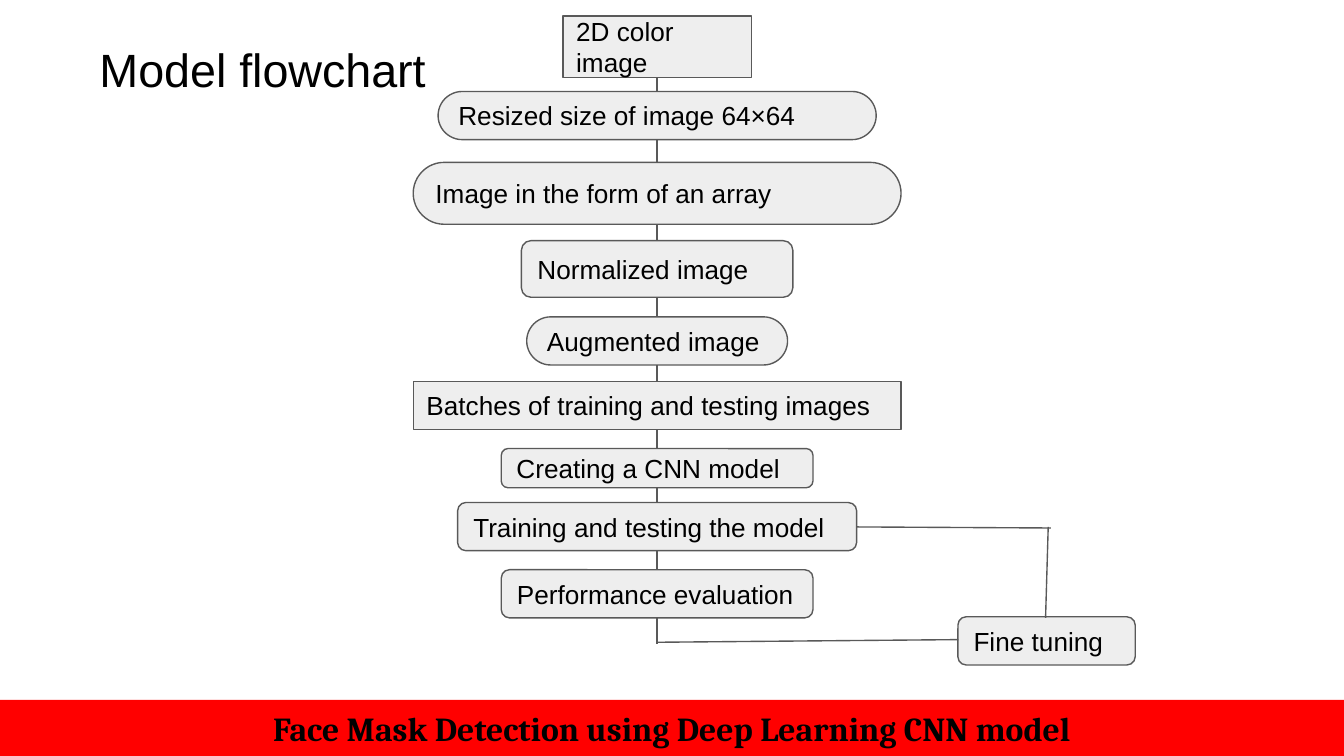
from dataclasses import dataclass
from itertools import pairwise

from lxml import etree
from pptx import Presentation
from pptx.dml.color import RGBColor
from pptx.enum import shapes, text
from pptx.oxml import ns
from pptx.util import Cm, Pt

BLACK = RGBColor(0x00, 0x00, 0x00)
GRAY = RGBColor(0x59, 0x59, 0x59)
PALE = RGBColor(0xEE, 0xEE, 0xEE)
RED = RGBColor(0xFF, 0x00, 0x00)
MID = 12.42
PAD = 0.25
TOP, LEFT, BOTTOM = 0, 1, 2


@dataclass
class Step:
    label: str
    top: float
    width: float
    height: float
    curve: float = 0.17
    mid: float = MID


@dataclass
class Line:
    x1: float
    y1: float
    x2: float
    y2: float


STEPS = [
    Step("2D color image", 0.3, 3.56, 1.17, 0),
    Step("Resized size of image 64×64", 1.73, 8.28, 0.91, 0.5),
    Step("Image in the form of an array", 3.07, 9.22, 1.17, 0.5),
    Step("Normalized image", 4.55, 5.13, 1.07),
    Step("Augmented image", 5.99, 4.93, 0.91, 0.5),
    Step("Batches of training and testing images", 7.21, 9.22, 0.91, 0),
    Step("Creating a CNN model", 8.48, 5.89, 0.74),
    Step("Training and testing the model", 9.5, 7.54, 0.91),
    Step("Performance evaluation", 10.77, 5.89, 0.91),
]
TUNING = Step("Fine tuning", 11.66, 3.35, 0.91, mid=19.78)
LOOP = [
    Line(MID, 11.68, MID, 12.17),
    Line(MID, 12.14, 18.11, 12.09),
    Line(19.76, 11.68, 19.81, 9.96),
    Line(19.86, 9.98, 16.19, 9.96),
]


def apply(item, values: dict) -> None:
    for name, value in values.items():
        setattr(item, name, value)


def write(shape, label: str, font: dict, align, anchor, pad: float = PAD) -> None:
    frame = shape.text_frame
    frame.text = label
    apply(frame, {
        "word_wrap": True,
        "auto_size": text.MSO_AUTO_SIZE.NONE,
        "vertical_anchor": anchor,
        "margin_left": Cm(PAD),
        "margin_right": Cm(PAD),
        "margin_top": Cm(pad),
        "margin_bottom": Cm(pad),
    })
    para = frame.paragraphs[0]
    para.alignment = align
    apply(para.runs[0].font, font)
    para.runs[0].font.color.rgb = BLACK


def stroke(line) -> None:
    line.color.rgb = GRAY
    line.width = Pt(0.75)


def draw_step(slide, step: Step):
    box = slide.shapes.add_shape(
        shapes.MSO_SHAPE.ROUNDED_RECTANGLE, Cm(step.mid - step.width / 2),
        Cm(step.top), Cm(step.width), Cm(step.height))
    box.adjustments[0] = step.curve
    box.shadow.inherit = False
    box.fill.solid()
    box.fill.fore_color.rgb = PALE
    stroke(box.line)
    write(box, step.label, {"name": "Arial", "size": Pt(14)},
          text.PP_ALIGN.LEFT, text.MSO_ANCHOR.MIDDLE)
    return box


def draw_line(slide, line: Line):
    link = slide.shapes.add_connector(
        shapes.MSO_CONNECTOR.STRAIGHT,
        Cm(line.x1), Cm(line.y1), Cm(line.x2), Cm(line.y2))
    stroke(link.line)
    etree.SubElement(link._element.spPr, ns.qn("a:effectLst"))
    return link


def draw_title(slide) -> None:
    title = slide.shapes.title
    apply(title, {"left": Cm(1.63), "top": Cm(0.53),
                  "width": Cm(9.93), "height": Cm(1.57)})
    write(title, "Model flowchart", {"name": "Arial", "size": Pt(25)},
          text.PP_ALIGN.LEFT, text.MSO_ANCHOR.TOP)


def draw_bar(slide) -> None:
    bar = slide.shapes.add_shape(
        shapes.MSO_SHAPE.RECTANGLE, 0, Cm(13.23), Cm(25.4), Cm(1.06))
    bar.shadow.inherit = False
    bar.fill.solid()
    bar.fill.fore_color.rgb = RED
    bar.line.fill.background()
    write(bar, "Face Mask Detection using Deep Learning CNN model",
          {"name": "Cambria", "size": Pt(18), "bold": True},
          text.PP_ALIGN.CENTER, text.MSO_ANCHOR.MIDDLE, 0.13)


def main() -> None:
    deck = Presentation()
    apply(deck, {"slide_width": Cm(25.4), "slide_height": Cm(14.29)})
    slide = deck.slides.add_slide(deck.slide_layouts[5])
    draw_title(slide)
    boxes = [draw_step(slide, step) for step in STEPS]
    for upper, lower in pairwise(boxes):
        link = draw_line(slide, Line(MID, 0, MID, 0))
        link.begin_connect(upper, BOTTOM)
        link.end_connect(lower, TOP)
    draw_bar(slide)
    draw_step(slide, TUNING)
    for line in LOOP:
        draw_line(slide, line)
    deck.save("out.pptx")


if __name__ == "__main__":
    main()
